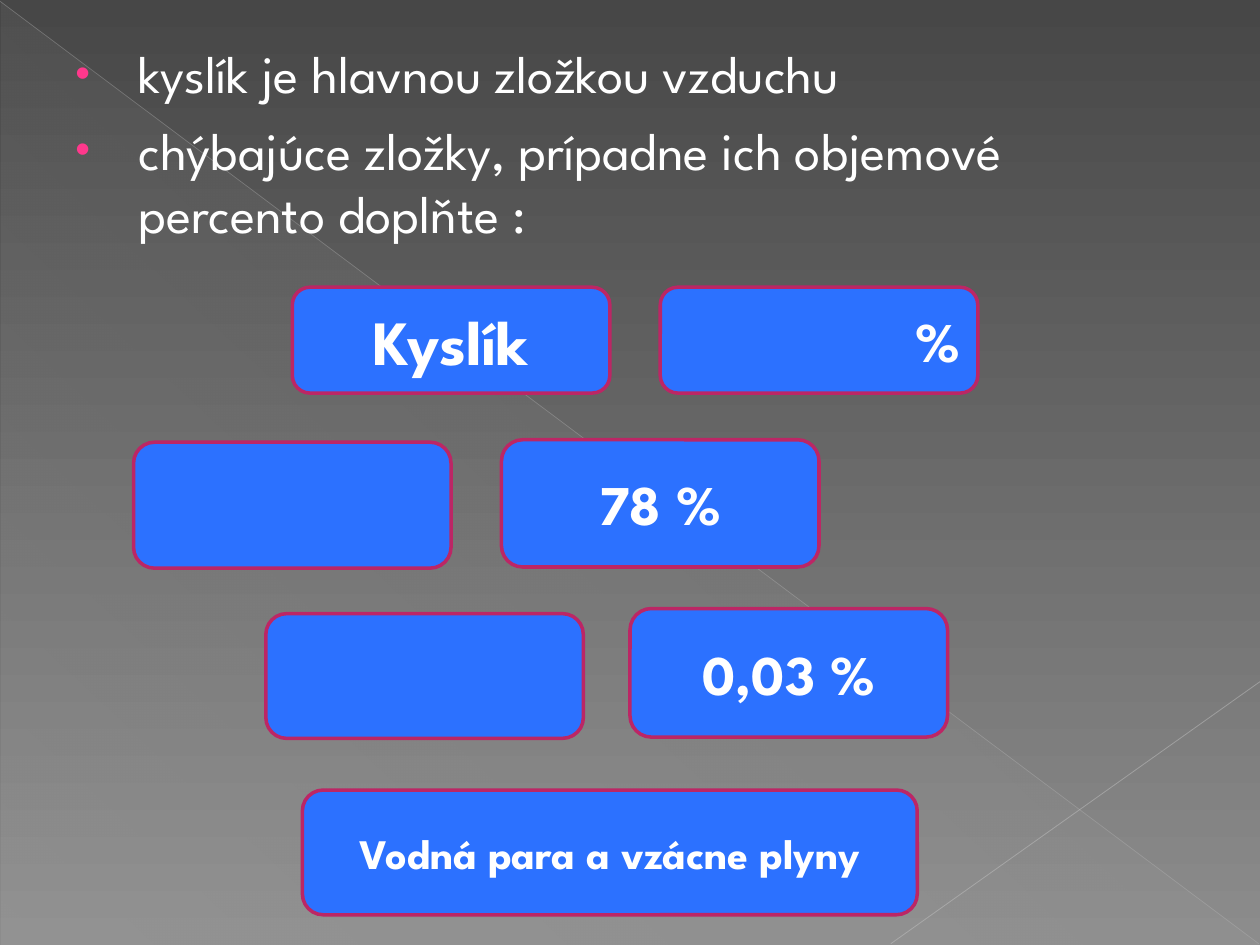
from lxml import etree
from pptx import Presentation, util as u
from pptx.dml.color import RGBColor
from pptx.enum import shapes, text
from pptx.oxml.ns import qn

WHITE = RGBColor(0xFF, 0xFF, 0xFF)
BLUE = RGBColor(0x2C, 0x71, 0xFF)
CRIMSON = RGBColor(0xBC, 0x26, 0x65)
PINK = RGBColor(0xFF, 0x38, 0x8C)
DARK_GREY = RGBColor(0x47, 0x47, 0x47)
MID_GREY = RGBColor(0x8C, 0x8C, 0x8C)
PALE_GREY = RGBColor(0xD2, 0xD2, 0xD2)
FALLING_GREY = RGBColor(0xBF, 0xBF, 0xBF)
RISING_GREY = RGBColor(0xC6, 0xC6, 0xC6)
FONT = "League Spartan"

deck = Presentation()
deck.slide_width, deck.slide_height = u.Inches(10), u.Inches(7.5)
# The slide is measured on a grid of 100 columns by 75 rows.
COLUMN, ROW = deck.slide_width / 100, deck.slide_height / 75
page = deck.slides.add_slide(deck.slide_layouts[6])


def place(left, top, width, height):
    """Turn grid columns and rows into slide lengths."""
    return [round(n * unit) for n, unit in
            ((left, COLUMN), (top, ROW), (width, COLUMN), (height, ROW))]


def set_opacity(parent, percents):
    """Give each RGB colour inside parent its opacity in percent."""
    for colour, percent in zip(parent.iter(qn("a:srgbClr")), percents):
        etree.SubElement(colour, qn("a:alpha"), val=str(percent * 1000))


# Background with a faint corner triangle and two thin lines
corner = page.shapes.add_shape(shapes.MSO_SHAPE.RIGHT_TRIANGLE, *place(0.1, 0.2, 99.9, 74.8))
corner.shadow.inherit = False
corner.line.fill.background()
for fill, angle, colours in (
    (page.background.fill, 270, (DARK_GREY, MID_GREY)),
    (corner.fill, 227, (PALE_GREY, PALE_GREY)),
):
    fill.gradient()
    fill.gradient_angle = angle
    for position, (stop, colour) in enumerate(zip(fill.gradient_stops, colours)):
        stop.position = position
        stop.color.rgb = colour
set_opacity(corner._element.spPr, (1, 10))

for ends, colour, weight, percent in (
    ((0, 0.1, 99.9, 74.9), FALLING_GREY, 0.4, 35),
    ((100, 54.1, 70.7, 74.9), RISING_GREY, 0.48, 45),
):
    line = page.shapes.add_connector(shapes.MSO_CONNECTOR.STRAIGHT, *place(*ends))
    line.line.color.rgb = colour
    line.line.width = u.Pt(weight)
    set_opacity(line._element.spPr, [percent])
    etree.SubElement(line._element.spPr, qn("a:effectLst"))

# Bulleted task
task = page.shapes.add_textbox(*place(4.3, 2.8, 90, 54.3))
task.text_frame.word_wrap = True
for number, wording in enumerate((
    "kyslík je hlavnou zložkou vzduchu",
    "chýbajúce zložky, prípadne ich objemové percento doplňte :",
)):
    para = task.text_frame.add_paragraph() if number else task.text_frame.paragraphs[0]
    properties = para._p.get_or_add_pPr()
    properties.set("marL", str(u.Inches(0.57)))
    properties.set("indent", str(u.Inches(-0.5)))
    bullet_colour = etree.SubElement(properties, qn("a:buClr"))
    etree.SubElement(bullet_colour, qn("a:srgbClr"), val=str(PINK))
    etree.SubElement(properties, qn("a:buSzPct"), val="80000")
    etree.SubElement(properties, qn("a:buFont"), typeface="Arial")
    etree.SubElement(properties, qn("a:buChar"), char="•")
    if number:
        para.space_before = u.Pt(7.5)
    span = para.add_run()
    span.text = wording
    span.font.name, span.font.size = FONT, u.Pt(30)
    span.font.color.rgb = WHITE

# Components of air on the left, their volume shares on the right
CARD = 25.2
CENTER, RIGHT = text.PP_ALIGN.CENTER, text.PP_ALIGN.RIGHT
for left, top, width, height, wording, size, align in (
    (23.2, 22.8, CARD, 8.4, "Kyslík", 36, CENTER),
    (52.4, 22.8, CARD, 8.4, "%", 32, RIGHT),
    (10.6, 35.1, CARD, 10, "", 32, CENTER),
    (39.8, 34.9, CARD, 10.1, "78 %", 32, CENTER),
    (21.1, 48.7, CARD, 9.9, "", 32, CENTER),
    (50, 48.3, CARD, 10.2, "0,03 %", 32, CENTER),
    (24, 62.7, 48.8, 9.9, "Vodná para a vzácne plyny", 24, CENTER),
):
    card = page.shapes.add_shape(shapes.MSO_SHAPE.ROUNDED_RECTANGLE,
                                 *place(left, top, width, height))
    card.shadow.inherit = False
    card.fill.solid()
    card.fill.fore_color.rgb = BLUE
    card.line.color.rgb = CRIMSON
    card.line.width = u.Pt(2)
    if wording:
        card.text_frame.vertical_anchor = text.MSO_ANCHOR.MIDDLE
        para = card.text_frame.paragraphs[0]
        para.alignment = align
        span = para.add_run()
        span.text = wording
        span.font.name, span.font.size, span.font.bold = FONT, u.Pt(size), True
        span.font.color.rgb = WHITE

deck.save("out.pptx")
